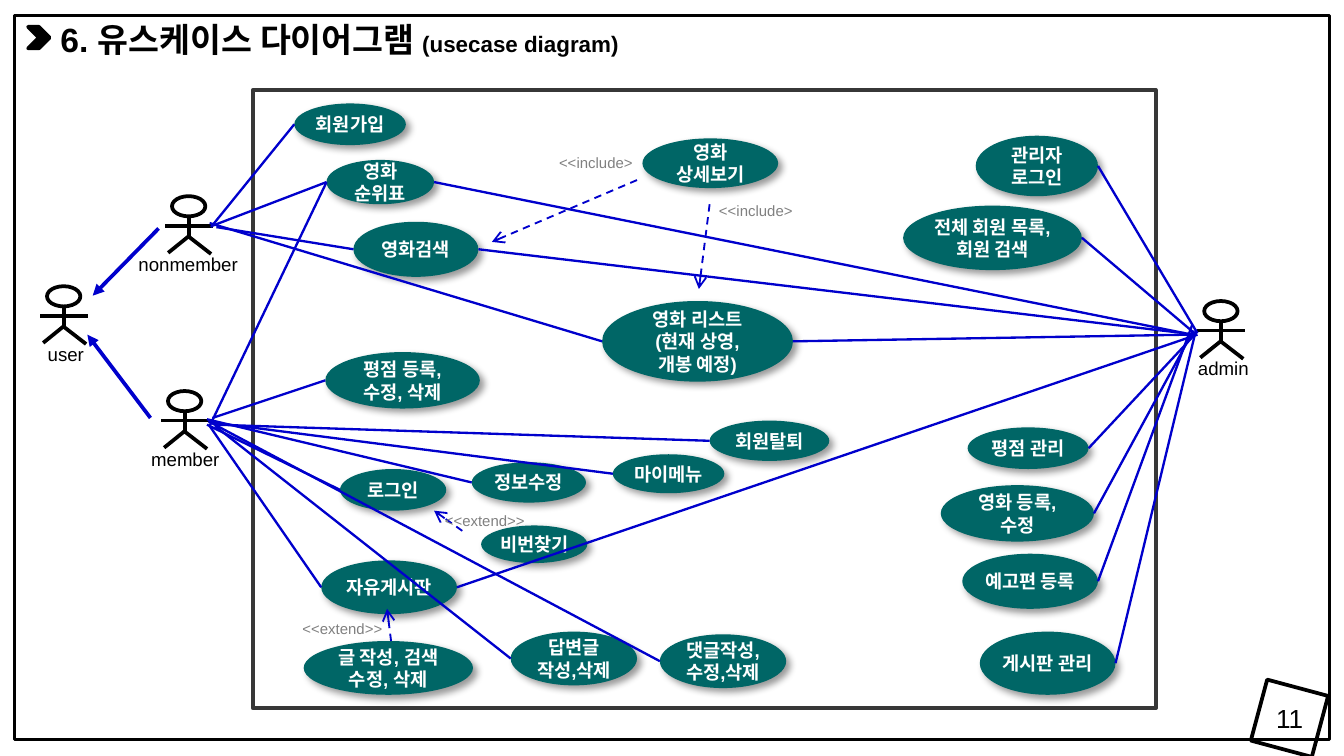
from lxml import etree
from pptx import Presentation
from pptx.dml.color import RGBColor
from pptx.enum.dml import MSO_LINE
from pptx.enum.shapes import MSO_CONNECTOR, MSO_SHAPE
from pptx.enum.text import MSO_ANCHOR, MSO_AUTO_SIZE, PP_ALIGN
from pptx.oxml.ns import qn
from pptx.util import Inches, Pt

STRAIGHT = MSO_CONNECTOR.STRAIGHT
RECT, OVAL, CHEVRON = MSO_SHAPE.RECTANGLE, MSO_SHAPE.OVAL, MSO_SHAPE.CHEVRON
DASH = MSO_LINE.DASH
TOP, MIDDLE = MSO_ANCHOR.TOP, MSO_ANCHOR.MIDDLE
LEFT, CENTER = PP_ALIGN.LEFT, PP_ALIGN.CENTER
NO_FIT = MSO_AUTO_SIZE.NONE

COLUMNS, ROWS = 100, 56.25
CELL = Inches(0.1)
INK, BORDER, TEAL, BLUE, GRAY, WHITE = "000000", "373737", "006666", "0000CC", "808080", "FFFFFF"
MARGINS = ("margin_left", "margin_top", "margin_right", "margin_bottom")

SYSTEM_BOX = (18.8, 6.7, 67.2, 46)
USE_CASES = {
    "회원가입": (3.1, 1, 8.3, 3.1),
    "로그인": (6.5, 28.2, 7.9, 3.1),
    "비번찾기": (17, 32.4, 7.9, 2.8),
    "정보수정": (16.3, 27.7, 8.5, 3),
    "회원탈퇴": (34, 24.6, 8.9, 3),
    "영화검색": (7.5, 9.8, 9.3, 4.1),
    "영화\n상세보기": (29, 3.6, 10.1, 3.7),
    "자유게시판": (5.1, 35, 10.1, 4),
    "영화 리스트\n(현재 상영,\n개봉 예정)": (26, 15.7, 14.2, 6),
    "평점 등록, 수정, 삭제": (5.4, 19.5, 11.5, 4.2),
    "댓글작성,\n수정,삭제": (30.3, 40.5, 9.4, 4),
    "영화 등록, 수정": (51.2, 29.4, 11.4, 4.2),
    "게시판 관리": (54.1, 40.3, 10.1, 4.7),
    "전체 회원 목록, 회원 검색": (48.4, 8.6, 13.3, 4.8),
    "평점 관리": (53.2, 25.1, 9, 3.1),
    "영화 순위표": (5.5, 5.2, 8, 3.3),
    "답변글\n작성,삭제": (19.2, 40.3, 9.4, 4),
    "마이메뉴": (26.8, 27.1, 8.3, 2.9),
    "글 작성, 검색 수정, 삭제": (3.8, 41, 12.6, 4),
    "예고편 등록": (52.8, 34.5, 10.1, 4.1),
    "관리자 로그인": (53.8, 3.4, 9.1, 4.5),
}
DEPENDENCIES = [
    ("<<extend>>", (14.3, 31.4), 6.6, (15.6, 32.8), (13.5, 31.3)),
    ("<<include>", (34.7, 8.3), 6, (34, 8.5), (33.2, 14.8)),
    ("<<include>", (22.8, 4.7), 6, (28.6, 6.7), (17.8, 11.3)),
    ("<<extend>>", (3.7, 39.4), 6.6, (10.3, 41), (10, 38.6)),
]
ACTORS = {
    "member": ((12, 29.1, 3.55, 4.3), 7.3, LEFT),
    "nonmember": ((12.3, 14.6, 3.55, 4.3), 9.8, LEFT),
    "user": ((3, 21.3, 3.55, 4.3), 4.7, LEFT),
    "admin": ((89.1, 22.4, 3.55, 4.3), 5.8, CENTER),
}
GENERALIZATIONS = [((11.8, 17), (6.9, 22)), ((11.2, 31.1), (6.5, 24.9))]
HANDS = {"nonmember": (15.8, 16.8), "member": (15.6, 31.3), "admin": (89.1, 24.6)}
ASSOCIATIONS = {
    "nonmember": {
        "회원가입": (-0.1, 0.1), "영화 순위표": (0, 0), "영화검색": (0.3, 0.1),
        "영화 리스트\n(현재 상영,\n개봉 예정)": (-0.2, -0.2),
    },
    "member": {
        "로그인": (-0.2, 0.3), "정보수정": (-0.2, -0.1), "마이메뉴": (-0.1, 0.1),
        "영화 순위표": (0, 0.4), "평점 등록, 수정, 삭제": (0.2, -0.2),
        "자유게시판": (0, 0.4), "답변글\n작성,삭제": (0.4, 0.4),
        "댓글작성,\n수정,삭제": (0, 0.1), "회원탈퇴": (0.4, 0.3),
    },
    "admin": {
        "자유게시판": (0, 0.3), "영화 순위표": (-0.9, 0.2),
        "전체 회원 목록, 회원 검색": (-0.1, 0.3), "관리자 로그인": (0, 0.2),
        "평점 관리": (-0.2, 0.3), "영화 등록, 수정": (-0.3, 0),
        "예고편 등록": (-0.4, -0.4), "게시판 관리": (-0.1, -0.1),
        "영화 리스트\n(현재 상영,\n개봉 예정)": (-0.4, 0.3), "영화검색": (-0.1, 0.3),
    },
}


def rgb(code):
    """Turn a hex string into a colour."""
    return RGBColor.from_string(code)


def cells(*values):
    """Turn grid units into slide lengths."""
    return [round(value * CELL) for value in values]


def within(box, x, y):
    """Return the grid point at an offset from the corner of a box."""
    return box[0] + x, box[1] + y


def assign(target, **values):
    """Set every given attribute on the target."""
    for attribute, value in values.items():
        setattr(target, attribute, value)


def style_font(font, size, color=INK, bold=False):
    """Format a font in the typeface of the slide."""
    assign(font, name="Arial", size=Pt(size), bold=bold)
    font.color.rgb = rgb(color)


def write(frame, text, size, color=INK, bold=False, align=LEFT, anchor=TOP, wrap=True, margin=None):
    """Fill a text frame with one paragraph per line of text."""
    assign(frame, word_wrap=wrap, vertical_anchor=anchor, auto_size=NO_FIT)
    if margin is not None:
        assign(frame, **dict.fromkeys(MARGINS, margin))
    frame.text = text
    for paragraph in frame.paragraphs:
        paragraph.alignment = align
        for run in paragraph.runs:
            style_font(run.font, size, color, bold)


def draw_shape(shapes, kind, box, fill=None, line=None, weight=2):
    """Add a flat preset shape."""
    shape = shapes.add_shape(kind, *cells(*box))
    shape.shadow.inherit = False
    if fill:
        shape.fill.solid()
        shape.fill.fore_color.rgb = rgb(fill)
    else:
        shape.fill.background()
    if line:
        shape.line.color.rgb = rgb(line)
        shape.line.width = Pt(weight)
    else:
        shape.line.fill.background()
    return shape


def draw_line(shapes, start, end, color=INK, weight=2.0, dash=None, arrow=None):
    """Add a straight line, with an optional arrowhead at its end."""
    connector = shapes.add_connector(STRAIGHT, *cells(*start, *end))
    connector.line.color.rgb = rgb(color)
    assign(connector.line, width=Pt(weight), dash_style=dash)
    properties = connector._element.spPr
    if arrow:
        etree.SubElement(properties.find(qn("a:ln")), qn("a:tailEnd"), type=arrow)
    etree.SubElement(properties, qn("a:effectLst"))


def cast_shadow(shape):
    """Give a shape a soft shadow to the lower right."""
    effects = shape._element.spPr.find(qn("a:effectLst"))
    shadow = etree.SubElement(effects, qn("a:outerShdw"), blurRad=str(Pt(4)), dist=str(Pt(3)),
                              dir="2700000", algn="tl", rotWithShape="0")
    color = etree.SubElement(shadow, qn("a:srgbClr"), val=INK)
    etree.SubElement(color, qn("a:alpha"), val="40000")


def place_heading(slide, box):
    """Place the title and the chevron before it."""
    heading = slide.shapes.title
    assign(heading, **dict(zip(("left", "top", "width", "height"), cells(*box))))
    write(heading.text_frame, "6. 유스케이스 다이어그램 ", 18, bold=True)
    subtitle = heading.text_frame.paragraphs[0].add_run()
    subtitle.text = "(usecase diagram)"
    style_font(subtitle.font, 12, bold=True)
    draw_shape(slide.shapes, CHEVRON, (*within(box, -1.4, 1.1), 1.6, 1.6), INK, INK)


def place_system(slide, box):
    """Place the system boundary and its use cases."""
    draw_shape(slide.shapes, RECT, box, line=BORDER)
    for use_case, (x, y, width, height) in USE_CASES.items():
        bubble = draw_shape(slide.shapes, OVAL, (*within(box, x, y), width, height), TEAL)
        cast_shadow(bubble)
        write(bubble.text_frame, use_case, 10, WHITE, True, CENTER, MIDDLE, margin=0)


def place_actor(slide, box, role, label_width, align):
    """Place a stick figure and the name of its role."""
    left, top, width, height = box
    figure = slide.shapes.add_group_shape().shapes
    draw_shape(figure, OVAL, (left + 0.14 * width, top, 0.7 * width, 0.35 * height), line=INK)
    limbs = [(0, 0.51, 1, 0.51), (0.5, 0.35, 0.5, 0.74), (0.49, 0.7, 0.96, 1), (0.51, 0.68, 0.06, 0.98)]
    for x1, y1, x2, y2 in limbs:
        draw_line(figure, within(box, x1 * width, y1 * height), within(box, x2 * width, y2 * height))
    label_box = (left + 0.54 * width - label_width / 2, top + 0.86 * height, label_width, 2.7)
    label = figure.add_textbox(*cells(*label_box))
    write(label.text_frame, role, 10, align=align, wrap=False)


def place_associations(slide, box):
    """Join each actor's hand to the facing side of its use cases."""
    for role, targets in ASSOCIATIONS.items():
        for use_case, offset in targets.items():
            x, y, width, height = USE_CASES[use_case]
            side = x + width if role == "admin" else x
            draw_line(slide.shapes, within(HANDS[role], *offset),
                      within(box, side, y + height / 2), BLUE, 1.25)


def place_dependencies(slide, box):
    """Place the dashed arrows between use cases and their labels."""
    for stereotype, corner, width, start, end in DEPENDENCIES:
        draw_line(slide.shapes, within(box, *start), within(box, *end), BLUE, 1, DASH, "arrow")
        label = slide.shapes.add_textbox(*cells(*within(box, *corner), width, 1.3))
        write(label.text_frame, stereotype, 8, GRAY, wrap=False, margin=0)


def place_page_number(slide, box):
    """Place the page number on a tilted square."""
    corner = slide.shapes.add_group_shape().shapes
    draw_shape(corner, RECT, box, line=INK).rotation = 15
    number = corner.add_textbox(*cells(*within(box, -0.2, 0.6), box[2] + 0.4, 3.4))
    write(number.text_frame, "11", 14, align=CENTER, anchor=MIDDLE)


def main():
    """Build the use case slide and save it."""
    deck = Presentation()
    assign(deck, slide_width=round(COLUMNS * CELL), slide_height=round(ROWS * CELL))
    slide = deck.slides.add_slide(deck.slide_layouts[5])
    draw_shape(slide.shapes, RECT, (1.1, 1.15, 97.8, 53.9), line=INK, weight=1.5)
    place_heading(slide, (3.5, 0.9, 51.3, 4))
    place_system(slide, SYSTEM_BOX)
    for role, (box, label_width, align) in ACTORS.items():
        place_actor(slide, box, role, label_width, align)
    place_page_number(slide, (93.6, 51.1, 4.7, 4.7))
    for start, end in GENERALIZATIONS:
        draw_line(slide.shapes, start, end, BLUE, arrow="triangle")
    place_associations(slide, SYSTEM_BOX)
    place_dependencies(slide, SYSTEM_BOX)
    deck.save("out.pptx")


if __name__ == "__main__":
    main()
